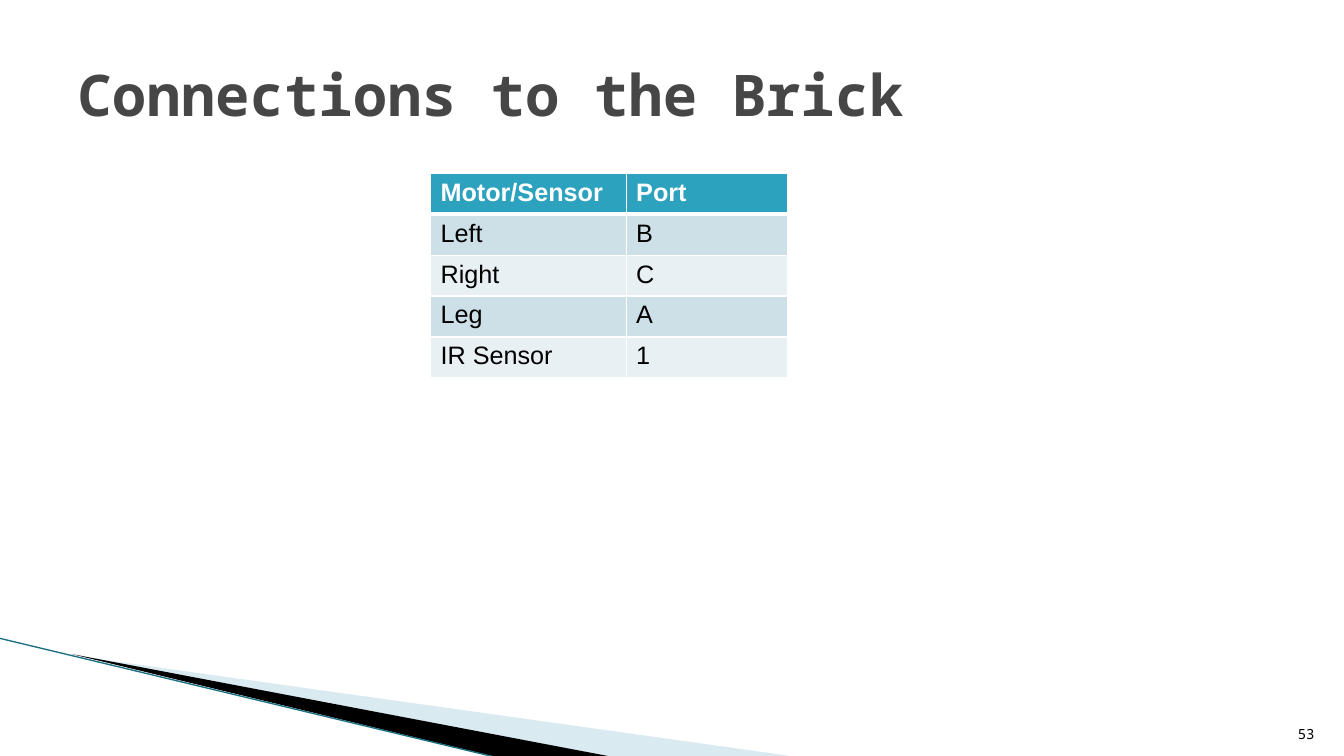
"""Build the slide that lists which port of the brick each motor and sensor uses."""
from lxml.etree import SubElement
from pptx import Presentation
from pptx.dml.color import RGBColor as RGB
from pptx.enum.shapes import MSO_CONNECTOR as Link
from pptx.enum.text import MSO_ANCHOR as Anchor, MSO_AUTO_SIZE as Fit, PP_ALIGN as Align
from pptx.oxml import parse_xml
from pptx.oxml.ns import nsdecls, qn
from pptx.util import Cm, Pt


class Theme:
    mono, sans = "Noto Sans Mono", "Arial"
    title, body, small = Pt(41), Pt(18), Pt(10)
    black, white, grey = "000000", "FFFFFF", "464646"
    head, bands = "2DA2BF", ("E8F0F4", "CDE0E8")
    pale, edge = "A0CBDC", "1A7083"


def style(para, color, **form):
    """Apply font values to a paragraph."""
    for key, value in form.items():
        setattr(para.font, key, value)
    para.font.color.rgb = RGB.from_string(color)


def border(cell, side, width):
    """Draw one white border of a cell."""
    cell._tc.get_or_add_tcPr().append(parse_xml(
        f'<a:{side} {nsdecls("a")} w="{Pt(width)}"><a:solidFill>'
        f'<a:srgbClr val="{Theme.white}"/></a:solidFill></a:{side}>'))


deck = Presentation()
deck.slide_width, deck.slide_height = Cm(33.87), Cm(19.05)
slide = deck.slides.add_slide(deck.slide_layouts[5])
shapes = slide.shapes

wedges = [
    (Theme.pale, 40, [(1.85, 16.52), (20.14, 19.08), (15.44, 19.08)]),
    (Theme.black, 100, [(1.8, 16.48), (15.47, 19.08), (12.6, 19.1)]),
]
for color, alpha, points in wedges:
    start, *rest = [(Cm(x), Cm(y)) for x, y in points]
    pen = shapes.build_freeform(*start)
    pen.add_line_segments(rest)
    wedge = pen.convert_to_shape()
    wedge.shadow.inherit = False
    wedge.line.fill.background()
    wedge.fill.solid()
    wedge.fill.fore_color.rgb = RGB.from_string(color)
    tint = wedge._element.spPr.find(".//" + qn("a:srgbClr"))
    SubElement(tint, qn("a:alpha"), val=str(alpha * 1000))

edge = shapes.add_connector(Link.STRAIGHT, Cm(-0.03), Cm(16.08), Cm(12.57), Cm(19.1))
edge.line.color.rgb = RGB.from_string(Theme.edge)
edge.line.width = Pt(0.95)
SubElement(edge._element.spPr, qn("a:effectLst"))

ports = [
    ("Motor/Sensor", "Port"),
    ("Left", "B"),
    ("Right", "C"),
    ("Leg", "A"),
    ("IR Sensor", "1"),
]
frame = shapes.add_table(len(ports), 2, Cm(10.85), Cm(4.37), Cm(9), Cm(5.15))
table = frame.table
for col, width in zip(table.columns, (4.93, 4.07)):
    col.width = Cm(width)
for i, names in enumerate(ports):
    table.rows[i].height = Cm(1.03)
    top = i == 0
    for j, name in enumerate(names):
        cell = table.cell(i, j)
        cell.text = name
        style(cell.text_frame.paragraphs[0], Theme.white if top else Theme.black,
              name=Theme.sans, size=Theme.body, bold=top)
        for side in ("lnL", "lnR", "lnT", "lnB"):
            thick = (top and side == "lnB") or (i == 1 and side == "lnT")
            border(cell, side, 3 if thick else 1)
        cell.fill.solid()
        cell.fill.fore_color.rgb = RGB.from_string(Theme.head if top else Theme.bands[i % 2])

title = shapes.title
number = shapes.add_textbox(Cm(32.03), Cm(17.8), Cm(1.35), Cm(1.02))
labels = [
    (title, "Connections to the Brick", Anchor.MIDDLE, Align.LEFT, Theme.grey,
     {"size": Theme.title, "bold": True}),
    (number, "53", Anchor.BOTTOM, Align.RIGHT, Theme.black, {"size": Theme.small}),
]
title.left, title.top, title.width, title.height = Cm(1.7), Cm(0.76), Cm(30.48), Cm(3.18)
for box, text, anchor, align, color, form in labels:
    body = box.text_frame
    body.text = text
    body.word_wrap = True
    body.auto_size = Fit.NONE
    body.vertical_anchor = anchor
    body.paragraphs[0].alignment = align
    style(body.paragraphs[0], color, name=Theme.mono, **form)

deck.save("out.pptx")
